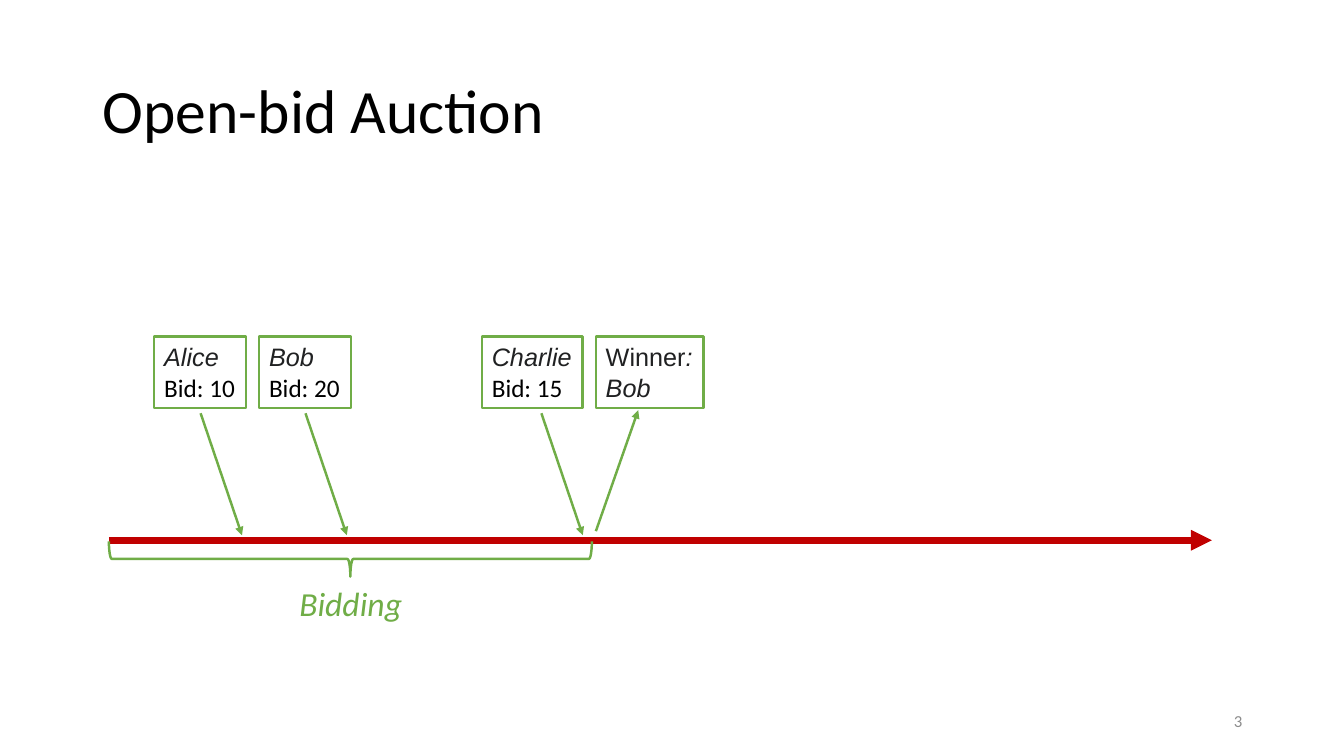
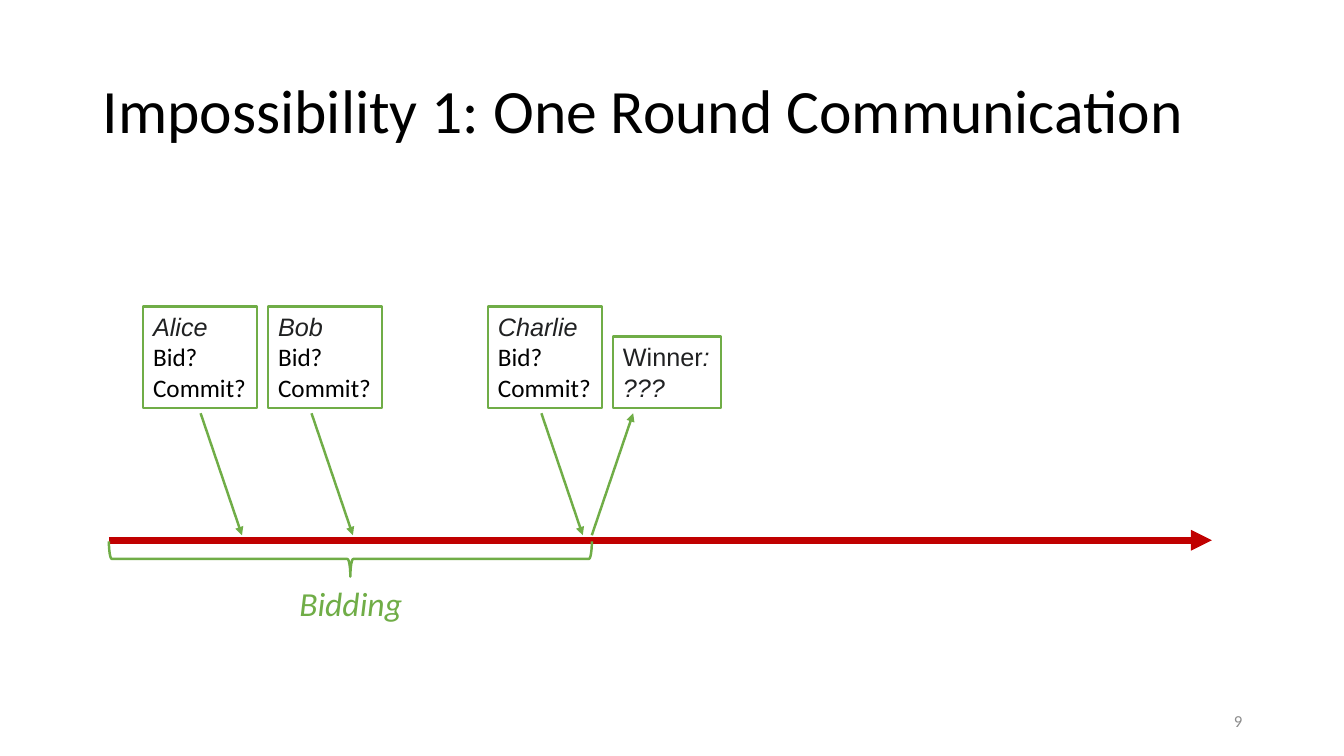
"""Build two auction timeline slides: open bidding and one-round communication."""
import pptx
import pptx.dml.color
import pptx.enum.shapes
import pptx.enum.text
import pptx.oxml
import pptx.oxml.ns
import pptx.util

PX = 9144
GREEN, RED, GRAY, BLACK, INK = "70AD47", "C00000", "8C8C8C", "000000", "202122"
CARD_BOTTOM, LINE_HEIGHT, CARD_PADDING = 405, 30, 11
AXIS_LEFT, AXIS_RIGHT, AXIS_Y = 108, 1202, 536
BIDDING_END = 587

NAME = dict(font="Arial", color=INK, italic=True)
LABEL = dict(font="Arial", color=INK)
BID = dict()

color_of = pptx.dml.color.RGBColor.from_string


def write(para, text, size=18, font="Calibri", color=BLACK, italic=False):
    """Add one formatted span of text to a paragraph."""
    span = para.add_run()
    span.text = text
    span.font.size = pptx.util.Pt(size)
    span.font.name = font
    span.font.italic = italic
    span.font.color.rgb = color_of(color)


def draw_arrow(page, start, end, color=GREEN, width=1.75):
    """Draw a straight arrow between two points given in px."""
    arrow = page.shapes.add_connector(
        pptx.enum.shapes.MSO_CONNECTOR.STRAIGHT, *[PX * value for value in start + end])
    arrow.line.color.rgb = color_of(color)
    arrow.line.width = pptx.util.Pt(width)
    head = pptx.oxml.parse_xml(
        '<a:tailEnd %s type="triangle"/>' % pptx.oxml.ns.nsdecls("a"))
    arrow.line._get_or_add_ln().append(head)
    effects = pptx.oxml.parse_xml("<a:effectLst %s/>" % pptx.oxml.ns.nsdecls("a"))
    arrow._element.spPr.append(effects)


# Each bidder: name, card left, card width, arrow start; winner: text, card left, arrow ends.
slides = [
    dict(title="Open-bid Auction", number="3",
         bidders=[("Alice", 153, 91, 199, ["Bid: 10"]),
                  ("Bob", 257, 91, 303, ["Bid: 20"]),
                  ("Charlie", 478, 100, 537, ["Bid: 15"])],
         winner=("Bob", 591, (591, 527), (633, 407))),
    dict(title="Impossibility 1: One Round Communication", number="9",
         bidders=[("Alice", 142, 113, 199, ["Bid?", "Commit?"]),
                  ("Bob", 266, 113, 309, ["Bid?", "Commit?"]),
                  ("Charlie", 484, 113, 537, ["Bid?", "Commit?"])],
         winner=("???", 608, (587, 531), (628, 410))),
]

deck = pptx.Presentation()
deck.slide_width, deck.slide_height = 1333 * PX, 750 * PX
layout = deck.slide_layouts[5]
title_area = layout.placeholders[0]
title_area.left, title_area.top = 92 * PX, 40 * PX
title_area.width, title_area.height = 1150 * PX, 145 * PX

for content in slides:
    page = deck.slides.add_slide(layout)
    title = page.shapes.title.text_frame
    title.vertical_anchor = pptx.enum.text.MSO_ANCHOR.MIDDLE
    title.paragraphs[0].alignment = pptx.enum.text.PP_ALIGN.LEFT
    title.paragraphs[0].line_spacing = 0.9
    write(title.paragraphs[0], content["title"], size=44)

    footer = page.shapes.add_textbox(942 * PX, 695 * PX, 300 * PX, 40 * PX).text_frame
    footer.word_wrap = True
    footer.vertical_anchor = pptx.enum.text.MSO_ANCHOR.MIDDLE
    footer.paragraphs[0].alignment = pptx.enum.text.PP_ALIGN.RIGHT
    write(footer.paragraphs[0], content["number"], size=12, color=GRAY)

    draw_arrow(page, (AXIS_LEFT, AXIS_Y), (AXIS_RIGHT, AXIS_Y), color=RED, width=5)

    brace = page.shapes.add_shape(
        pptx.enum.shapes.MSO_SHAPE.LEFT_BRACE,
        330 * PX, 315 * PX, 35 * PX, (BIDDING_END - AXIS_LEFT) * PX)
    brace.rotation = 270
    brace.shadow.inherit = False
    brace.fill.background()
    brace.line.color.rgb = color_of(GREEN)
    brace.line.width = pptx.util.Pt(1.75)

    phase = page.shapes.add_textbox(287 * PX, 573 * PX, 123 * PX, 50 * PX).text_frame
    phase.word_wrap = False
    phase.auto_size = pptx.enum.text.MSO_AUTO_SIZE.SHAPE_TO_FIT_TEXT
    write(phase.paragraphs[0], "Bidding", size=24, color=GREEN, italic=True)

    cards = []
    for name, left, width, arrow_x, lines in content["bidders"]:
        draw_arrow(page, (arrow_x, 410), (arrow_x + 41, 531))
        cards.append((left, width, [[(name, NAME)]] + [[(line, BID)] for line in lines]))
    winner, left, start, end = content["winner"]
    draw_arrow(page, start, end)
    cards.append((left, 107, [[("Winner", LABEL), (":", NAME)], [(winner, NAME)]]))

    for left, width, rows in cards:
        height = LINE_HEIGHT * len(rows) + CARD_PADDING
        box = page.shapes.add_textbox(
            left * PX, (CARD_BOTTOM - height) * PX, width * PX, height * PX)
        box.line.color.rgb = color_of(GREEN)
        box.line.width = pptx.util.Pt(1.75)
        frame = box.text_frame
        frame.word_wrap = False
        frame.auto_size = pptx.enum.text.MSO_AUTO_SIZE.SHAPE_TO_FIT_TEXT
        for index, row in enumerate(rows):
            para = frame.add_paragraph() if index else frame.paragraphs[0]
            for text, style in row:
                write(para, text, **style)

deck.save("out.pptx")
